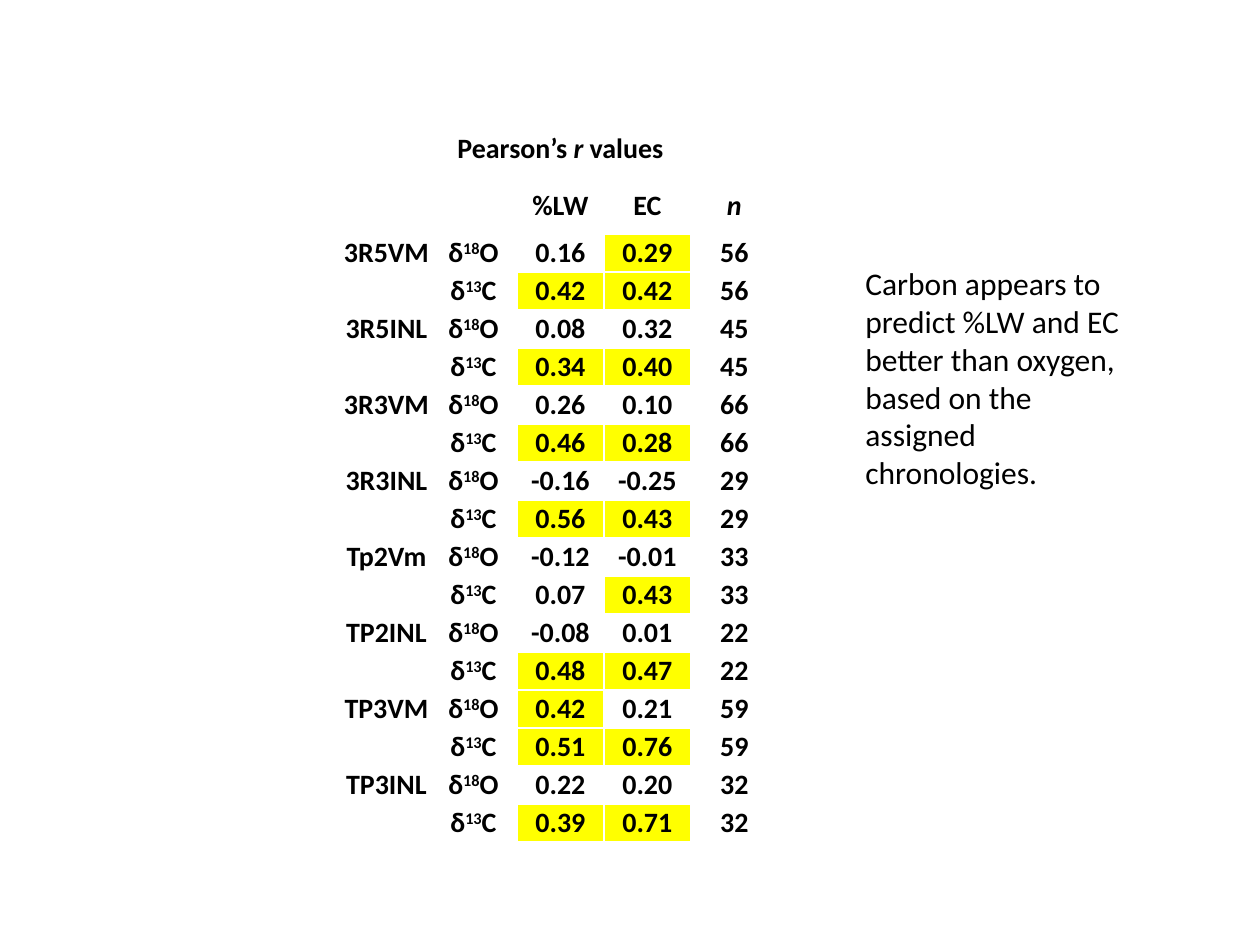
from lxml.etree import SubElement
from pptx import Presentation
from pptx.dml.color import RGBColor
from pptx.enum.text import MSO_ANCHOR as Anchor, MSO_AUTO_SIZE as AutoSize, PP_ALIGN as Align
from pptx.oxml import parse_xml
from pptx.oxml.ns import nsdecls, qn
from pptx.util import Emu, Pt

# Content: text runs are (text, style); a trailing * marks a highlighted value
TITLE = [("Pearson’s ", ""), ("r", "italic"), (" values", "")]
HEADINGS = [[], [], [("%LW", "")], [("EC", "")], [("n", "italic")]]
ISOTOPES = [("18", "O"), ("13", "C")]
SITES = [  # name, n, then (%LW, EC) for each isotope
    ("3R5VM", "56", ("0.16", "0.29*"), ("0.42*", "0.42*")),
    ("3R5INL", "45", ("0.08", "0.32"), ("0.34*", "0.40*")),
    ("3R3VM", "66", ("0.26", "0.10"), ("0.46*", "0.28*")),
    ("3R3INL", "29", ("-0.16", "-0.25"), ("0.56*", "0.43*")),
    ("Tp2Vm", "33", ("-0.12", "-0.01"), ("0.07", "0.43*")),
    ("TP2INL", "22", ("-0.08", "0.01"), ("0.48*", "0.47*")),
    ("TP3VM", "59", ("0.42*", "0.21"), ("0.51*", "0.76*")),
    ("TP3INL", "32", ("0.22", "0.20"), ("0.39*", "0.71*")),
]
COMMENT = ("Carbon appears to predict %LW and EC better than oxygen, "
           "based on the assigned chronologies.")

# Layout in px, 126 to the inch
TABLE_LEFT, TABLE_TOP = 343, 120
COLUMN_WIDTH, HEADER_HEIGHT, ROW_HEIGHT = 87, 57, 38
COMMENT_BOX = (853, 258, 299, 242)
BLACK, WHITE, YELLOW = "000000", "FFFFFF", "FFFF00"
CELL_FORMAT = {"margin_left": 0, "margin_top": 0, "margin_right": 0,
               "margin_bottom": 0, "vertical_anchor": Anchor.MIDDLE}


def px(length):
    return Emu(round(length * 914400 / 126))


def color(value):
    return RGBColor.from_string(value)


def add_run(paragraph, text, size, style="", bold=False):
    run = paragraph.add_run()
    run.text = text
    values = {"name": "Calibri", "size": Pt(size), "bold": bold,
              "italic": style == "italic"}
    for name, value in values.items():
        setattr(run.font, name, value)
    run.font.color.rgb = color(BLACK)
    if style == "super":
        run.font._element.set("baseline", "30000")


def fill_cell(cell, runs, highlight=False):
    for name, value in CELL_FORMAT.items():
        setattr(cell, name, value)
    if highlight:
        cell.fill.solid()
        cell.fill.fore_color.rgb = color(YELLOW)
    else:
        cell.fill.background()
    properties = cell._tc.get_or_add_tcPr()
    for position, side in enumerate("LRTB"):
        properties.insert(position, parse_xml(
            f'<a:ln{side} {nsdecls("a")} w="12700"><a:solidFill>'
            f'<a:srgbClr val="{WHITE}"/></a:solidFill></a:ln{side}>'))
    paragraph = cell.text_frame.paragraphs[0]
    paragraph.alignment = Align.CENTER
    for text, style in runs:
        add_run(paragraph, text, 16, style, bold=True)
    if not runs:
        SubElement(paragraph._p, qn("a:endParaRPr"), sz="1600")


def table_rows():
    yield [TITLE, [], [], [], []]
    yield HEADINGS
    for site, count, *pairs in SITES:
        for (mass, element), values in zip(ISOTOPES, pairs):
            name = [(site, "")] if values is pairs[0] else []
            isotope = [("δ", ""), (mass, "super"), (element, "")]
            yield [name, isotope, *([(value, "")] for value in values), [(count, "")]]


def add_correlation_table(slide):
    rows = list(table_rows())
    columns = len(HEADINGS)
    heights = [HEADER_HEIGHT] * 2 + [ROW_HEIGHT] * (len(rows) - 2)
    frame = slide.shapes.add_table(
        len(rows), columns, px(TABLE_LEFT), px(TABLE_TOP),
        px(COLUMN_WIDTH * columns), px(sum(heights)))
    table = frame.table
    table.first_row = table.horz_banding = False
    for column in table.columns:
        column.width = px(COLUMN_WIDTH)
    for row, height, contents in zip(table.rows, heights, rows):
        row.height = px(height)
        for cell, runs in zip(row.cells, contents):
            highlight = any(text.endswith("*") for text, _ in runs)
            fill_cell(cell, [(text.rstrip("*"), style) for text, style in runs], highlight)
    table.cell(0, 0).merge(table.cell(0, columns - 1))


def add_comment(slide):
    box = slide.shapes.add_textbox(*map(px, COMMENT_BOX))
    box.text_frame.word_wrap = True
    box.text_frame.auto_size = AutoSize.SHAPE_TO_FIT_TEXT
    add_run(box.text_frame.paragraphs[0], COMMENT, 18)


def main():
    presentation = Presentation()
    presentation.slide_width, presentation.slide_height = px(1260), px(945)
    slide = presentation.slides.add_slide(presentation.slide_layouts[6])
    add_correlation_table(slide)
    add_comment(slide)
    presentation.save("out.pptx")


if __name__ == "__main__":
    main()
